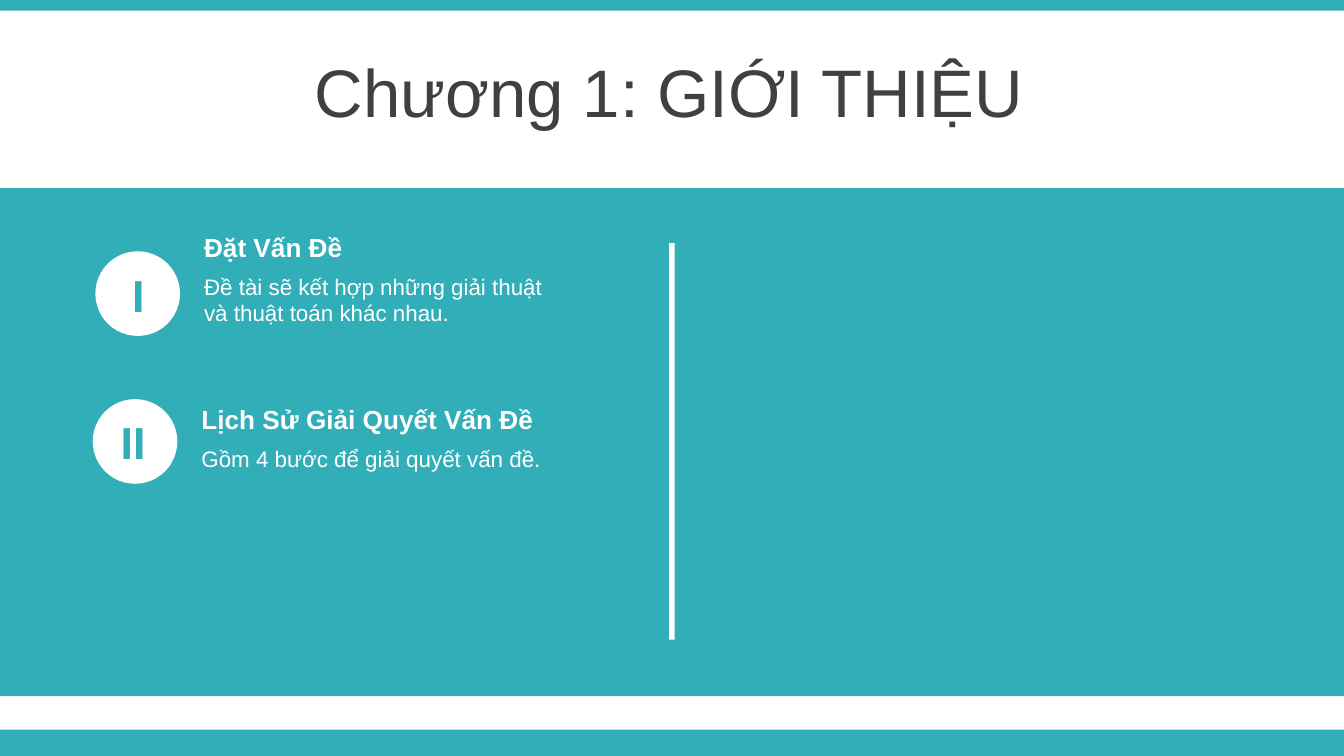
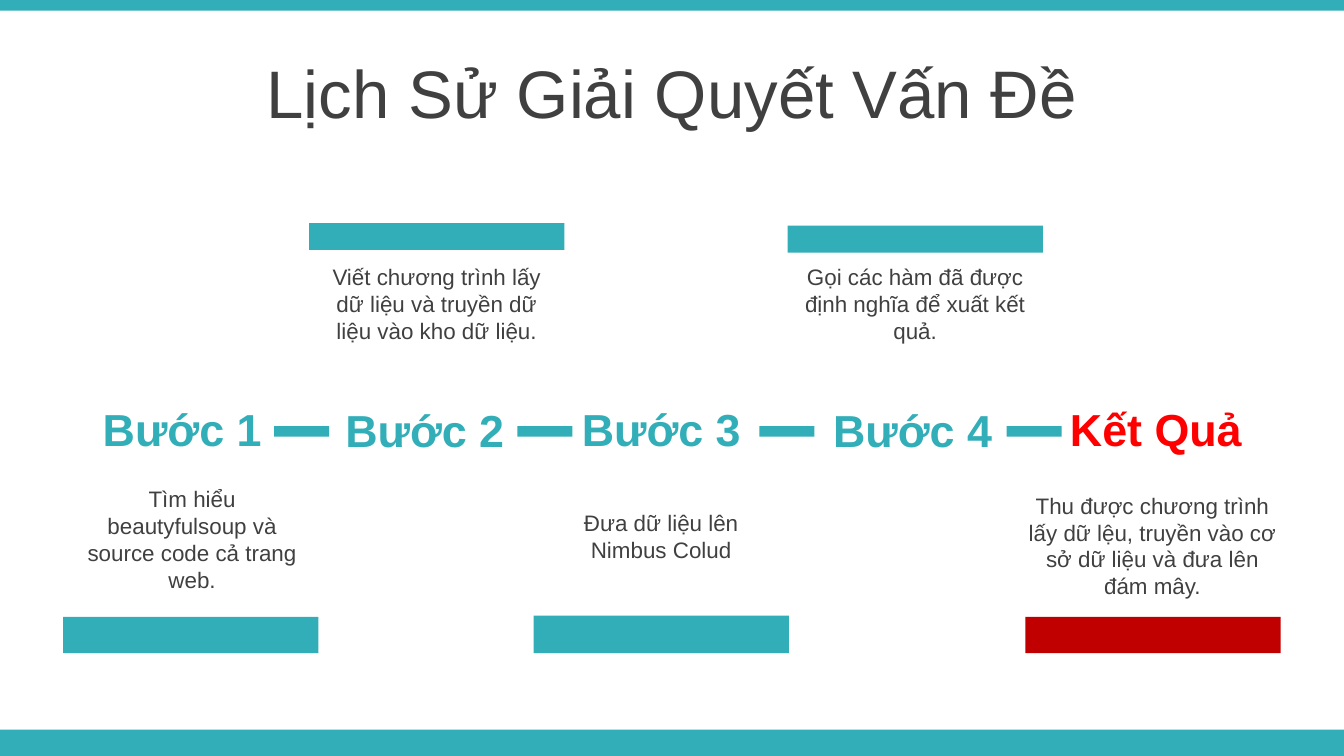
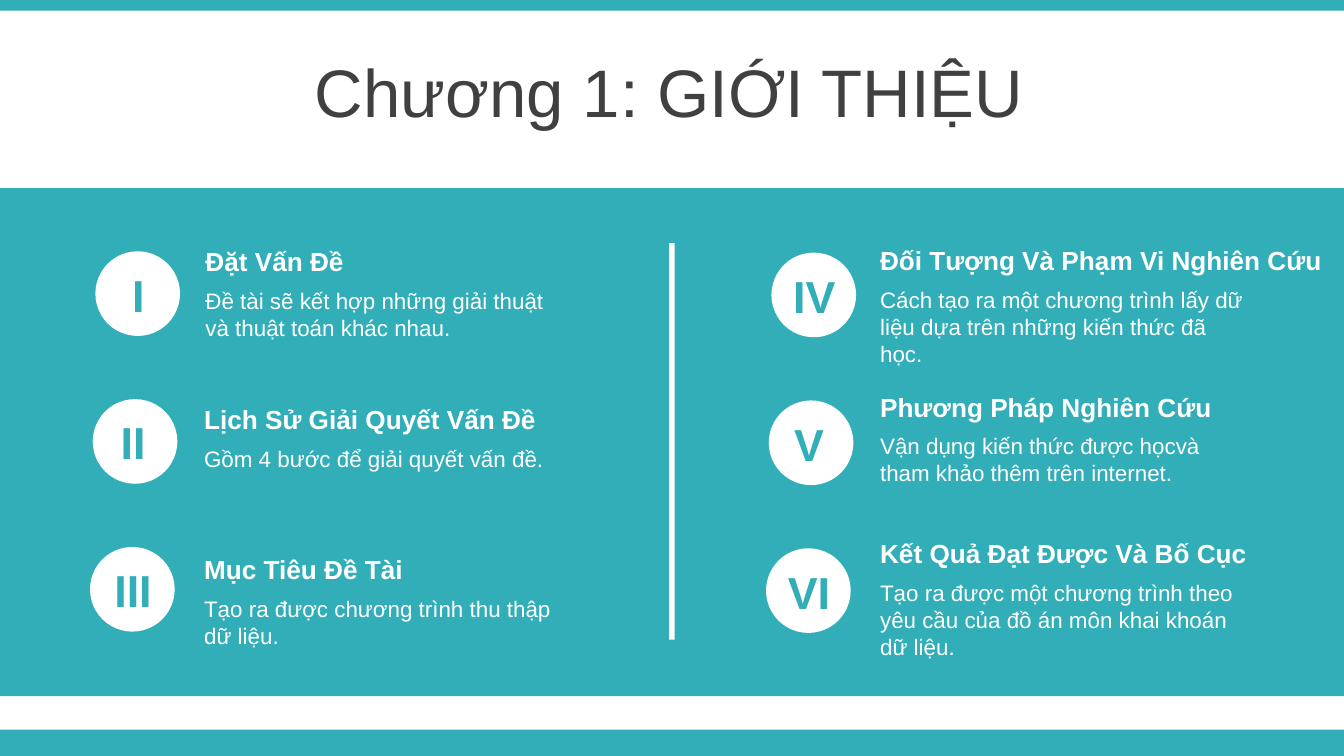
from pptx import Presentation
from pptx.dml.color import RGBColor
from pptx.enum.shapes import MSO_SHAPE as SHP
from pptx.enum.text import MSO_ANCHOR as ANC, PP_ALIGN as AL
from pptx.util import Inches, Pt

TEAL, WHITE, DARK, RED, CRIMSON = "32AEB8", "FFFFFF", "404040", "FF0000", "C00000"
FONT = "Arial"


def add_box(s, x, y, w, h, color, kind=SHP.RECTANGLE):
    sp = s.shapes.add_shape(kind, Inches(x), Inches(y), Inches(w), Inches(h))
    sp.shadow.inherit = False
    sp.fill.solid()
    sp.fill.fore_color.rgb = RGBColor.from_string(color)
    sp.line.fill.background()


def add_text(s, x, y, w, h, text, size, color, bold=False, align=AL.CENTER):
    tf = s.shapes.add_textbox(Inches(x), Inches(y), Inches(w), Inches(h)).text_frame
    tf.word_wrap = True
    tf.text = text
    for p in tf.paragraphs:
        p.alignment = align
        p.font.name = FONT
        p.font.size = Pt(size)
        p.font.bold = bold
        p.font.color.rgb = RGBColor.from_string(color)
    return tf


prs = Presentation()
prs.slide_width, prs.slide_height = Inches(10), Inches(10 * 9 / 16)

chapter = "Chương 1: GIỚI THIỆU"
history = "Lịch Sử Giải Quyết Vấn Đề"
for title, left, top in [(chapter, -0.02, 0.36), (history, 0, 0.37), (chapter, -0.02, 0.36)]:
    s = prs.slides.add_slide(prs.slide_layouts[6])
    add_box(s, 0, 5.43, 10, 0.2, TEAL)
    add_box(s, 0, 0, 10, 0.08, TEAL)
    tf = add_text(s, left, top, 10, 0.63, title, 36, DARK)
    tf.vertical_anchor = ANC.MIDDLE
    tf.paragraphs[0].space_before = Pt(7.2)
intro, timeline, contents = prs.slides

problem = ("I", "Đặt Vấn Đề", "Đề tài sẽ kết hợp những giải thuật và thuật toán khác nhau.")
steps = ("II", history, "Gồm 4 bước để giải quyết vấn đề.")
goal = ("III", "Mục Tiêu Đề Tài", "Tạo ra được chương trình thu thập dữ liệu.")
scope = ("IV", "Đối Tượng Và Phạm Vi Nghiên Cứu",
         "Cách tạo ra một chương trình lấy dữ liệu dựa trên những kiến thức đã học.")
method = ("V", "Phương Pháp Nghiên Cứu", "Vận dụng kiến thức được họcvà tham khảo thêm trên internet.")
result = ("VI", "Kết Quả Đạt Được Và Bố Cục",
          "Tạo ra được một chương trình theo yêu cầu của đồ án môn khai khoán dữ liệu.")

columns = [
    (intro, 0.71, 1.87, 2.91, [(problem, 1.42, 1.67), (steps, 1.4, 2.95)]),
    (contents, 0.71, 1.87, 2.91, [(problem, 1.43, 1.78), (steps, 1.42, 2.95), (goal, 1.42, 4.07)]),
    (contents, 5.74, 1.88, 3.55, [(scope, 6.45, 1.77), (method, 6.45, 2.86), (result, 6.45, 3.95)]),
]

for s in (intro, contents):
    add_box(s, 0, 1.4, 10, 3.78, TEAL)
    add_box(s, 4.98, 1.81, 0.04, 2.95, WHITE)

for s, left, top, heading_w, items in columns:
    for row, ((numeral, heading, body), x, y) in enumerate(items):
        circle_y = top + 1.1 * row
        add_box(s, left - 0.02 * row, circle_y, 0.63, 0.63, WHITE, SHP.OVAL)
        add_text(s, x, y + 0.31, 2.91, 0.5, body, 12, WHITE, align=AL.LEFT)
        add_text(s, x, y, heading_w, 0.34, heading, 14, WHITE, True, AL.LEFT)
        numeral_x = left - (0.07 if row else 0.03)
        add_text(s, numeral_x, circle_y + 0.07, 0.7, 0.5, numeral, 24, TEAL, True)

s = timeline
labels = [
    ("Bước 1", 0.63, 2.94, 1.45, TEAL),
    ("Bước 2", 2.45, 2.95, 1.42, TEAL),
    ("Bước 3", 4.21, 2.94, 1.42, TEAL),
    ("Bước 4", 6.09, 2.95, 1.4, TEAL),
    ("Kết Quả", 7.86, 2.94, 1.48, RED),
]
for label, x, y, w, color in labels:
    add_text(s, x, y, w, 0.5, label, 24, color, True)

for x in (2.04, 3.85, 5.65, 7.49):
    add_box(s, x, 3.17, 0.41, 0.08, TEAL)

details = [
    ("Tìm hiểu beautyfulsoup và source code cả trang web.", 0.48, 3.56, 1.9, 0.91),
    ("Viết chương trình lấy dữ liệu và truyền dữ liệu vào kho dữ liệu.", 2.3, 1.91, 1.9, 0.71),
    ("Đưa dữ liệu lên\nNimbus Colud", 3.97, 3.74, 1.9, 0.5),
    ("Gọi các hàm đã được định nghĩa để xuất kết quả.", 5.86, 1.91, 1.9, 0.71),
    ("Thu được chương trình lấy dữ lệu, truyền vào cơ sở dữ liệu và đưa lên đám mây.",
     7.5, 3.61, 2.15, 0.91),
]
for text, x, y, w, h in details:
    add_text(s, x, y, w, h, text, 12, DARK)

bars = [
    (0.47, 4.59, 0.27, TEAL),
    (2.3, 1.66, 0.2, TEAL),
    (3.97, 4.58, 0.28, TEAL),
    (5.86, 1.68, 0.2, TEAL),
    (7.63, 4.59, 0.27, CRIMSON),
]
for x, y, h, color in bars:
    add_box(s, x, y, 1.9, h, color)

prs.save("out.pptx")
